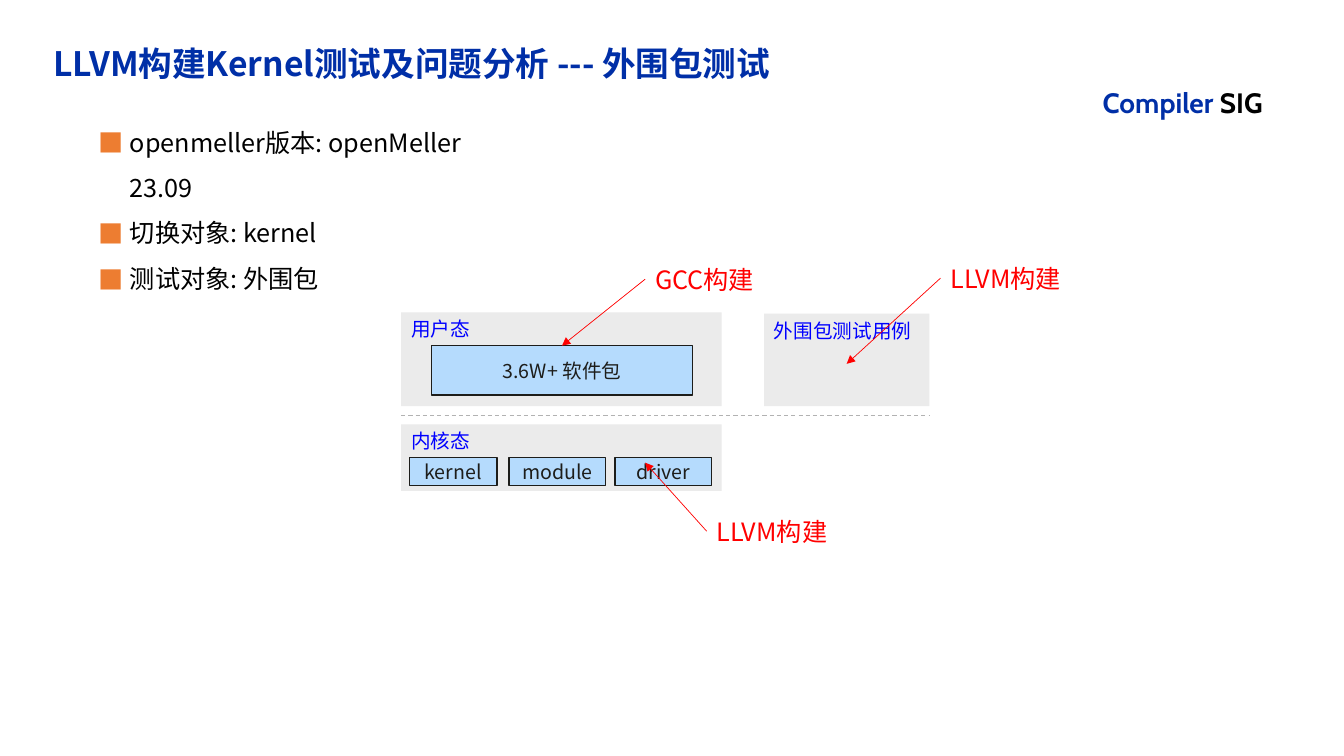
"""Build the slide on testing peripheral packages with an LLVM-built kernel."""
from dataclasses import dataclass

import pptx
import pptx.dml.color
import pptx.enum.dml
import pptx.enum.shapes
import pptx.enum.text
import pptx.oxml
import pptx.oxml.ns
import pptx.util
from pptx.enum.text import MSO_ANCHOR, PP_ALIGN

WIDTH = pptx.util.Inches(13.33)
HEIGHT = pptx.util.Inches(7.5)


@dataclass(frozen=True)
class Theme:
    font: str = "Noto Sans CJK SC"
    brand_font: str = "Cabin"
    brand: str = "002FA7"
    ink: str = "000000"
    bullet: str = "ED7D31"
    layer: str = "EBEBEB"
    layer_label: str = "0000FF"
    component: str = "B5DBFD"
    component_ink: str = "1D1D1A"
    callout: str = "FF0000"
    divider: str = "B2B2B2"
    title_size: float = 24
    brand_size: float = 20
    body_size: float = 18
    label_size: float = 14
    arrow_width: float = 0.5
    divider_width: float = 0.75
    border_width: float = 1


THEME = Theme()


@dataclass(frozen=True)
class Area:
    """Left, top, width and height in percent of the slide."""
    left: float
    top: float
    width: float
    height: float

    def emu(self) -> tuple[int, int, int, int]:
        return across(self.left), down(self.top), across(self.width), down(self.height)


@dataclass(frozen=True)
class Block:
    label: str
    area: Area


@dataclass(frozen=True)
class Callout:
    label: str
    area: Area
    target: tuple[float, float]
    component: str = ""


LAYERS = [
    Block("外围包测试用例", Area(56.85, 41.47, 12.3, 12.27)),
    Block("内核态", Area(29.85, 56.13, 23.85, 8.8)),
    Block("用户态", Area(29.85, 41.33, 23.85, 12.4)),
]
PACKAGES = "3.6W+ 软件包"
COMPONENTS = [
    Block("kernel", Area(30.45, 60.53, 6.52, 3.73)),
    Block("module", Area(37.88, 60.53, 7.2, 3.73)),
    Block("driver", Area(45.75, 60.53, 7.2, 3.73)),
    Block(PACKAGES, Area(32.1, 45.73, 19.43, 6.53)),
]
CALLOUTS = [
    Callout("LLVM构建", Area(69.98, 34.13, 12.3, 5.33), (63, 48.13)),
    Callout("LLVM构建", Area(52.58, 67.6, 12.3, 5.33), (48, 61.2)),
    Callout("GCC构建", Area(48, 34.27, 12.3, 5.33), (41.8, 45.73), PACKAGES),
]
FACTS = ["openmeller版本: openMeller 23.09", "切换对象: kernel", "测试对象: 外围包"]


def across(percent: float) -> int:
    return round(WIDTH * percent / 100)


def down(percent: float) -> int:
    return round(HEIGHT * percent / 100)


def rgb(value: str) -> pptx.dml.color.RGBColor:
    return pptx.dml.color.RGBColor.from_string(value)


def append_xml(parent, tag: str, **attributes: str):
    child = pptx.oxml.parse_xml(f'<a:{tag} {pptx.oxml.ns.nsdecls("a")}/>')
    for key, value in attributes.items():
        child.set(key, value)
    parent.append(child)
    return child


def style_run(run, size: float, color: str, font: str = THEME.font, bold: bool = False) -> None:
    run.font.size = pptx.util.Pt(size)
    run.font.bold = bold
    run.font.color.rgb = rgb(color)
    run.font.name = font
    append_xml(run.font._element, "ea", typeface=font)


def add_text(slide, area: Area, text: str, size: float, color: str,
             font: str = THEME.font, bold: bool = False, wrap: bool = True):
    box = slide.shapes.add_textbox(*area.emu())
    box.text_frame.word_wrap = wrap
    box.text_frame.text = text
    for paragraph in box.text_frame.paragraphs:
        for run in paragraph.runs:
            style_run(run, size, color, font, bold)
    return box


def add_block(slide, block: Block, fill: str, ink: str, framed: bool):
    rectangle = slide.shapes.add_shape(
        pptx.enum.shapes.MSO_SHAPE.RECTANGLE, *block.area.emu())
    rectangle.shadow.inherit = False
    rectangle.fill.solid()
    rectangle.fill.fore_color.rgb = rgb(fill)
    if framed:
        rectangle.line.color.rgb = rgb(ink)
        rectangle.line.width = pptx.util.Pt(THEME.border_width)
    else:
        rectangle.line.fill.background()
    frame = rectangle.text_frame
    frame.text = block.label
    frame.vertical_anchor = MSO_ANCHOR.MIDDLE if framed else MSO_ANCHOR.TOP
    frame.paragraphs[0].alignment = PP_ALIGN.CENTER if framed else PP_ALIGN.LEFT
    style_run(frame.paragraphs[0].runs[0], THEME.label_size, ink)
    return rectangle


def add_line(slide, start: tuple[float, float], end: tuple[float, float],
             color: str, width: float):
    line = slide.shapes.add_connector(
        pptx.enum.shapes.MSO_CONNECTOR.STRAIGHT,
        across(start[0]), down(start[1]), across(end[0]), down(end[1]))
    line.line.color.rgb = rgb(color)
    line.line.width = pptx.util.Pt(width)
    append_xml(line._element.spPr, "effectLst")
    return line


def add_callout(slide, callout: Callout, components: dict) -> None:
    area = callout.area
    label = add_text(slide, area, callout.label, THEME.body_size, THEME.callout)
    arrow = add_line(slide, (area.left, area.top + area.height / 2), callout.target,
                     THEME.callout, THEME.arrow_width)
    append_xml(arrow.line._get_or_add_ln(), "tailEnd", type="triangle")
    arrow.begin_connect(label, 1)
    if callout.component:
        arrow.end_connect(components[callout.component], 0)


def add_facts(slide) -> None:
    facts = add_text(slide, Area(6.6, 14.13, 32.55, 18.8), "\n".join(FACTS),
                     THEME.body_size, THEME.ink, wrap=False)
    indent = pptx.util.Inches(0.31)
    for paragraph in facts.text_frame.paragraphs:
        paragraph.line_spacing = 1.5
        properties = paragraph._p.get_or_add_pPr()
        properties.set("marL", str(indent))
        properties.set("indent", str(-indent))
        append_xml(append_xml(properties, "buClr"), "srgbClr", val=THEME.bullet)
        append_xml(properties, "buFont", typeface=THEME.font)
        append_xml(properties, "buChar", char="■")


def add_headings(slide) -> None:
    sig = add_text(slide, Area(81.3, 10.67, 14.63, 5.87), "Compiler",
                   THEME.brand_size, THEME.brand, THEME.brand_font, bold=True)
    suffix = sig.text_frame.paragraphs[0].add_run()
    suffix.text = " SIG"
    style_run(suffix, THEME.brand_size, THEME.ink, THEME.brand_font, bold=True)
    title = add_text(slide, Area(3.15, 5.6, 75.38, 6.13),
                     "LLVM构建Kernel测试及问题分析 --- 外围包测试",
                     THEME.title_size, THEME.brand, bold=True)
    title.text_frame.vertical_anchor = MSO_ANCHOR.MIDDLE
    title.text_frame.margin_left = pptx.util.Inches(0.11)
    title.text_frame.paragraphs[0].line_spacing = 0.9


def main() -> None:
    deck = pptx.Presentation()
    deck.slide_width, deck.slide_height = WIDTH, HEIGHT
    slide = deck.slides.add_slide(deck.slide_layouts[6])
    add_headings(slide)
    add_facts(slide)
    for layer in LAYERS:
        add_block(slide, layer, THEME.layer, THEME.layer_label, framed=False)
    divider = add_line(slide, (29.85, 54.93), (69.22, 54.93),
                       THEME.divider, THEME.divider_width)
    divider.line.dash_style = pptx.enum.dml.MSO_LINE.DASH
    components = {part.label: add_block(slide, part, THEME.component,
                                        THEME.component_ink, framed=True)
                  for part in COMPONENTS}
    for callout in CALLOUTS:
        add_callout(slide, callout, components)
    deck.save("out.pptx")


if __name__ == "__main__":
    main()
